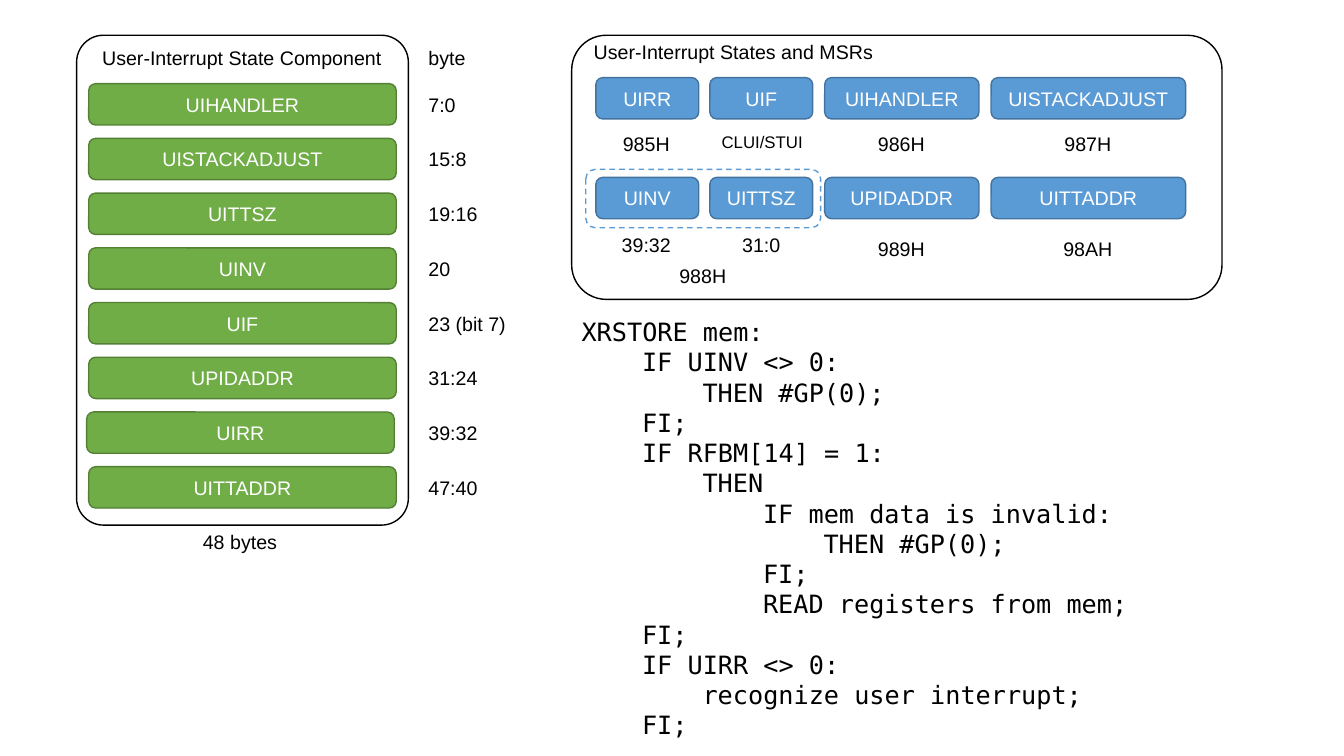
from pptx import Presentation
from pptx.dml.color import RGBColor
from pptx.enum.dml import MSO_LINE
from pptx.enum.shapes import MSO_SHAPE
from pptx.enum.text import MSO_ANCHOR, MSO_AUTO_SIZE, PP_ALIGN
from pptx.util import Inches, Pt

BLACK, WHITE = "000000", "FFFFFF"
GREEN, DARK_GREEN = "70AD47", "538035"
BLUE, DARK_BLUE = "5B9BD5", "43739E"

deck = Presentation()
deck.slide_width, deck.slide_height = Inches(13.33), Inches(7.5)
page = deck.slides.add_slide(deck.slide_layouts[6])


def add_box(left, top, width, height, fill, line, text="", corner=0.1667):
    box = page.shapes.add_shape(
        MSO_SHAPE.ROUNDED_RECTANGLE,
        Inches(left), Inches(top), Inches(width), Inches(height))
    box.shadow.inherit = False
    box.adjustments[0] = corner
    box.fill.solid()
    box.fill.fore_color.rgb = RGBColor.from_string(fill)
    box.line.color.rgb = RGBColor.from_string(line)
    box.line.width = Pt(1)
    if text:
        box.text_frame.text = text
        box.text_frame.vertical_anchor = MSO_ANCHOR.MIDDLE
        para = box.text_frame.paragraphs[0]
        para.alignment = PP_ALIGN.CENTER
        font = para.runs[0].font
        font.name, font.size = "Arial", Pt(14)
        font.color.rgb = RGBColor.from_string(WHITE)
    return box


def add_label(left, top, width, text, align=PP_ALIGN.CENTER,
              size=14, height=0.34, face="Arial"):
    label = page.shapes.add_textbox(
        Inches(left), Inches(top), Inches(width), Inches(height))
    frame = label.text_frame
    frame.word_wrap = True
    frame.auto_size = MSO_AUTO_SIZE.SHAPE_TO_FIT_TEXT
    frame.text = text
    for para in frame.paragraphs:
        para.alignment = align
        font = para.runs[0].font
        font.name, font.size = face, Pt(size)
        font.color.rgb = RGBColor.from_string(BLACK)
    return label


add_box(0.76, 0.35, 3.29, 4.86, WHITE, BLACK, corner=0.081)
add_label(0.86, 0.41, 3.08, "User-Interrupt State Component")
add_label(4.15, 0.41, 1.39, "byte", PP_ALIGN.LEFT)
add_label(1.74, 5.21, 1.28, "48 bytes")

components = [
    ("UIHANDLER", "7:0"), ("UISTACKADJUST", "15:8"), ("UITTSZ", "19:16"),
    ("UINV", "20"), ("UIF", "23 (bit 7)"), ("UPIDADDR", "31:24"),
    ("UIRR", "39:32"), ("UITTADDR", "47:40"),
]
for row, (name, byte_range) in enumerate(components):
    top = 0.83 + row * 3.8 / 7
    left = 0.86 if name == "UIRR" else 0.88
    add_box(left, top, 3.05, 0.41, GREEN, DARK_GREEN, name)
    add_label(4.15, top + 0.04, 1.39, byte_range, PP_ALIGN.LEFT)

add_box(5.67, 0.35, 6.45, 2.62, WHITE, BLACK, corner=0.131)
msr_group = add_box(5.81, 1.68, 2.33, 0.58, WHITE, BLUE)
msr_group.line.dash_style = MSO_LINE.DASH
add_label(5.79, 0.35, 3.13, "User-Interrupt States and MSRs", PP_ALIGN.LEFT)

columns = [(5.91, 1.02), (7.04, 1.02), (8.18, 1.53), (9.83, 1.93)]
register_rows = [
    (0.77, ["UIRR", "UIF", "UIHANDLER", "UISTACKADJUST"]),
    (1.76, ["UINV", "UITTSZ", "UPIDADDR", "UITTADDR"]),
]
for top, names in register_rows:
    for (left, width), name in zip(columns, names):
        add_box(left, top, width, 0.41, BLUE, DARK_BLUE, name)

addresses = [
    (5.97, 1.26, "985H"), (8.5, 1.26, "986H"), (10.35, 1.26, "987H"),
    (5.97, 2.26, "39:32"), (7.11, 2.26, "31:0"), (6.53, 2.57, "988H"),
    (8.5, 2.3, "989H"), (10.35, 2.3, "98AH"),
]
for left, top, address in addresses:
    add_label(left, top, 0.88, address)
add_label(7.04, 1.26, 1.04, "CLUI/STUI", size=12, height=0.3)

code_lines = [
    (0, "XRSTORE mem:"),
    (1, "IF UINV <> 0:"),
    (2, "THEN #GP(0);"),
    (1, "FI;"),
    (1, "IF RFBM[14] = 1:"),
    (2, "THEN"),
    (3, "IF mem data is invalid:"),
    (4, "THEN #GP(0);"),
    (3, "FI;"),
    (3, "READ registers from mem;"),
    (1, "FI;"),
    (1, "IF UIRR <> 0:"),
    (2, "recognize user interrupt;"),
    (1, "FI;"),
]
code = add_label(5.67, 3.09, 7.44, "\n".join(text for depth, text in code_lines),
                 PP_ALIGN.LEFT, size=18, height=4.34, face="DejaVu Sans Mono")
for para, (depth, text) in zip(code.text_frame.paragraphs, code_lines):
    para._p.get_or_add_pPr().set("marL", str(Inches(0.6 * depth)))

deck.save("out.pptx")
